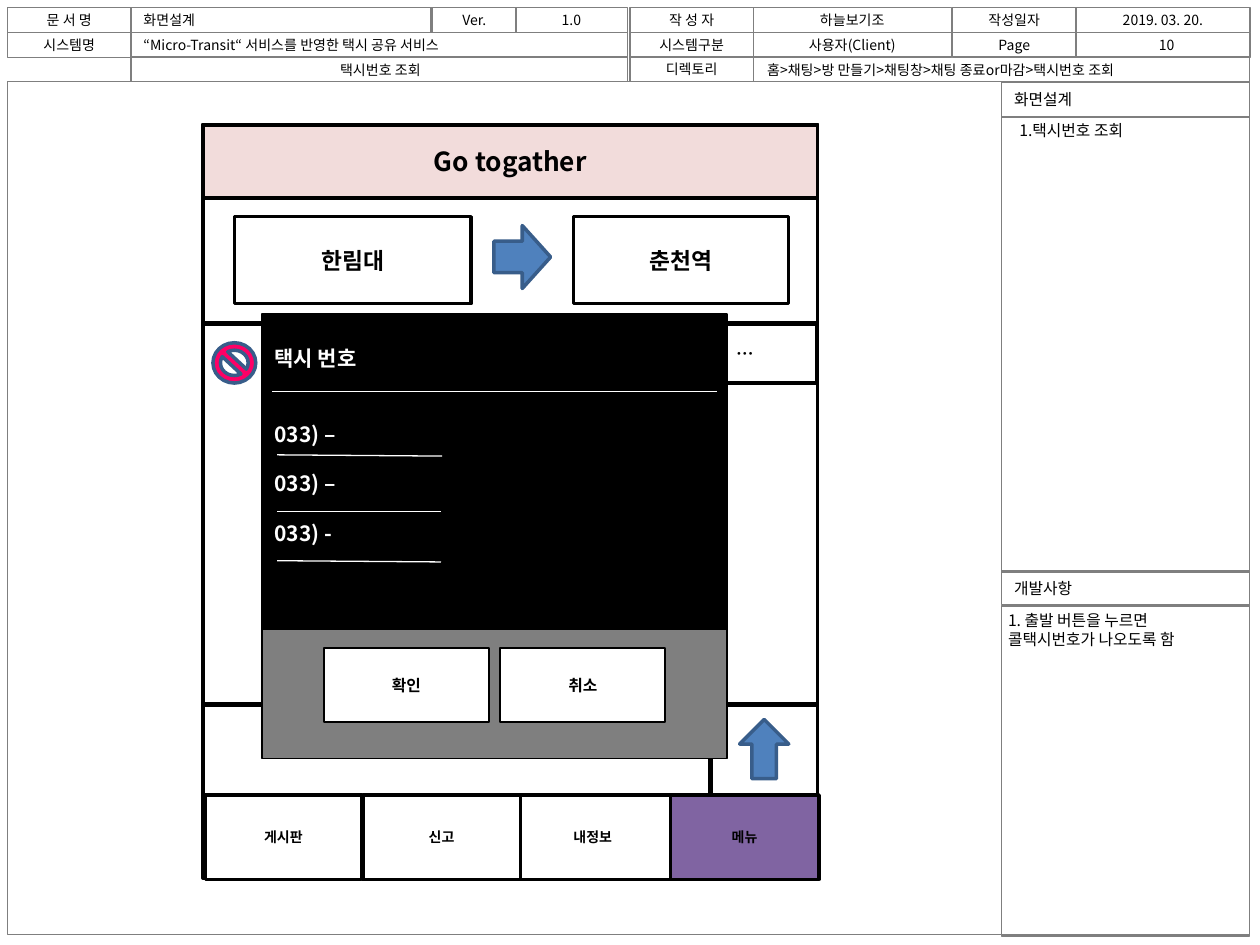
from lxml import etree
from pptx import Presentation
from pptx.dml.color import RGBColor
from pptx.enum import shapes, text
from pptx.oxml import ns
from pptx import util as u

PX = 9144
FONT = "Noto Sans CJK KR"
BLACK = RGBColor(0x00, 0x00, 0x00)
WHITE = RGBColor(0xFF, 0xFF, 0xFF)
GRAY = RGBColor(0x7F, 0x7F, 0x7F)
PINK = RGBColor(0xF2, 0xDC, 0xDB)
PURPLE = RGBColor(0x80, 0x64, 0xA2)
BLUE = RGBColor(0x4F, 0x81, 0xBD)
NAVY = RGBColor(0x38, 0x5D, 0x8A)
MAGENTA = RGBColor(0xFF, 0x00, 0x66)
LEFT, CENTER = text.PP_ALIGN.LEFT, text.PP_ALIGN.CENTER
TOP, MIDDLE = text.MSO_ANCHOR.TOP, text.MSO_ANCHOR.MIDDLE
KIND = shapes.MSO_SHAPE


def write(frame, words, size=8, color=BLACK, bold=False, align=CENTER,
          anchor=MIDDLE, top=5, gaps=()):
    frame.word_wrap = True
    frame.auto_size = text.MSO_AUTO_SIZE.NONE
    frame.vertical_anchor = anchor
    frame.margin_left = frame.margin_right = 10 * PX
    frame.margin_top, frame.margin_bottom = top * PX, 5 * PX
    frame.text = words
    for index, line in enumerate(frame.paragraphs):
        props = line._p.get_or_add_pPr()
        props.set("marL", "0")
        props.set("indent", "0")
        etree.SubElement(props, ns.qn("a:buNone"))
        line.alignment = align
        line.space_before = u.Pt(gaps[index] if gaps else 0)
        for run in line.runs:
            run.font.name = FONT
            run.font.size = u.Pt(size)
            run.font.bold = bold
            run.font.color.rgb = color
            east = etree.SubElement(run.font._element, ns.qn("a:ea"))
            east.set("typeface", FONT)


class Wireframe:
    def __init__(self):
        self.deck = Presentation()
        self.deck.slide_width, self.deck.slide_height = 1000 * PX, 750 * PX
        self.slide = self.deck.slides.add_slide(self.deck.slide_layouts[3])
        self.shapes = self.slide.shapes

    def placeholder(self, index, box, words, **style):
        holder = self.slide.placeholders[index]
        holder.left, holder.top, holder.width, holder.height = (
            n * PX for n in box)
        write(holder.text_frame, words, anchor=TOP, **style)

    def label(self, box, words, **style):
        label = self.shapes.add_textbox(*(n * PX for n in box))
        write(label.text_frame, words, **style)

    def shape(self, box, words="", kind=KIND.RECTANGLE, fill=WHITE,
              line=BLACK, width=2, **style):
        shape = self.shapes.add_shape(kind, *(n * PX for n in box))
        shape.shadow.inherit = False
        if fill is None:
            shape.fill.background()
        else:
            shape.fill.solid()
            shape.fill.fore_color.rgb = fill
        shape.line.color.rgb = line
        shape.line.width = u.Pt(width)
        if words:
            write(shape.text_frame, words, **style)
        return shape

    def cell(self, box, words="", **style):
        self.shape(box, words, fill=None, line=GRAY, width=0.75, **style)

    def rule(self, ends, color=BLACK, width=3):
        rule = self.shapes.add_connector(
            shapes.MSO_CONNECTOR.STRAIGHT, *(n * PX for n in ends))
        rule.line.color.rgb = color
        rule.line.width = u.Pt(width)
        props = rule._element.spPr
        etree.SubElement(props, ns.qn("a:effectLst"))

    def header(self):
        rows = [
            (6, [(6, 98, "문 서 명", CENTER), (104, 238, "화면설계", LEFT),
                 (343, 67, "Ver.", CENTER), (409, 89, "1.0", CENTER),
                 (500, 98, "작 성 자", CENTER),
                 (598, 157, "하늘보기조", CENTER),
                 (756, 98, "작성일자", CENTER), (854, 138, "", CENTER)]),
            (26, [(6, 98, "시스템명", CENTER),
                  (104, 394, "“Micro-Transit“ 서비스를 반영한 택시 공유 서비스", LEFT),
                  (500, 98, "시스템구분", CENTER), (598, 157, "", CENTER),
                  (756, 98, "Page", CENTER), (854, 138, "", CENTER)]),
            (45, [(104, 394, "", CENTER), (500, 98, "디렉토리", CENTER),
                  (598, 394, "", CENTER)]),
        ]
        for y, cells in rows:
            for x, width, words, align in cells:
                self.cell((x, y, width, 20), words, align=align)
        self.label((854, 4, 138, 24), "2019. 03. 20.", anchor=TOP)
        self.label((857, 30, 138, 12), "10")
        self.label((598, 24, 157, 24), "사용자(Client)", anchor=TOP)
        self.label((599, 44, 394, 24),
                   "홈>채팅>방 만들기>채팅창>채팅 종료or마감>택시번호 조회",
                   anchor=TOP, align=LEFT)
        self.placeholder(0, (105, 44, 394, 24), "택시번호 조회")

    def panels(self):
        self.cell((6, 65, 986, 677))
        for y, height, words in [(65, 28, "화면설계"), (93, 361, ""),
                                 (453, 27, "개발사항"), (481, 262, "")]:
            self.cell((795, y, 197, height), words, size=9, align=LEFT)
        self.placeholder(1, (799, 91, 157, 25), "1.택시번호 조회",
                         size=9, align=LEFT)
        self.placeholder(2, (790, 480, 202, 57),
                         "1. 출발 버튼을 누르면 콜택시번호가 나오도록 함",
                         size=9, align=LEFT)

    def phone(self):
        self.shape((161, 99, 488, 598))
        self.shape((161, 99, 488, 58), "Go togather", fill=PINK,
                   size=15, bold=True)
        for x, width, place in [(186, 188, "한림대"), (455, 171, "춘천역")]:
            self.shape((x, 172, width, 69), place, size=13, bold=True)
        for x, width, tab, fill in [(163, 124, "게시판", WHITE),
                                    (405, 131, "내정보", WHITE),
                                    (532, 118, "메뉴", PURPLE),
                                    (288, 125, "신고", WHITE)]:
            self.shape((x, 631, width, 67), tab, fill=fill, bold=True)
        arrow = dict(kind=KIND.RIGHT_ARROW, fill=BLUE, line=NAVY)
        self.shape((392, 179, 45, 50), **arrow)
        self.rule((161, 257, 648, 257))
        self.shape((535, 257, 113, 47), "…", size=10, bold=True, align=CENTER)
        self.rule((161, 559, 648, 559))
        self.shape((583, 575, 47, 39), **arrow).rotation = 270
        self.rule((564, 630, 564, 561))
        self.shape((169, 272, 34, 32), kind=KIND.NO_SYMBOL,
                   fill=MAGENTA, line=NAVY)

    def dialog(self):
        self.shapes = self.slide.shapes.add_group_shape().shapes
        self.shape((208, 249, 369, 250),
                   "택시 번호\n033) –\n033) –\n033) -", fill=BLACK, width=1,
                   size=12, color=WHITE, bold=True, align=LEFT, anchor=TOP,
                   top=25, gaps=(0, 29, 14, 14))
        self.rule((216, 311, 569, 311), WHITE, 0.75)
        self.shape((208, 499, 369, 103), fill=GRAY, width=1)
        for x, choice in [(257, "확인"), (397, "취소")]:
            self.shape((x, 514, 131, 59), choice, width=1, size=9, bold=True)
        self.shapes = self.slide.shapes
        for ends in [(220, 361, 351, 362), (220, 406, 350, 406),
                     (220, 445, 350, 446)]:
            self.rule(ends, WHITE, 0.75)


if __name__ == "__main__":
    wireframe = Wireframe()
    wireframe.header()
    wireframe.panels()
    wireframe.phone()
    wireframe.dialog()
    wireframe.deck.save("out.pptx")
